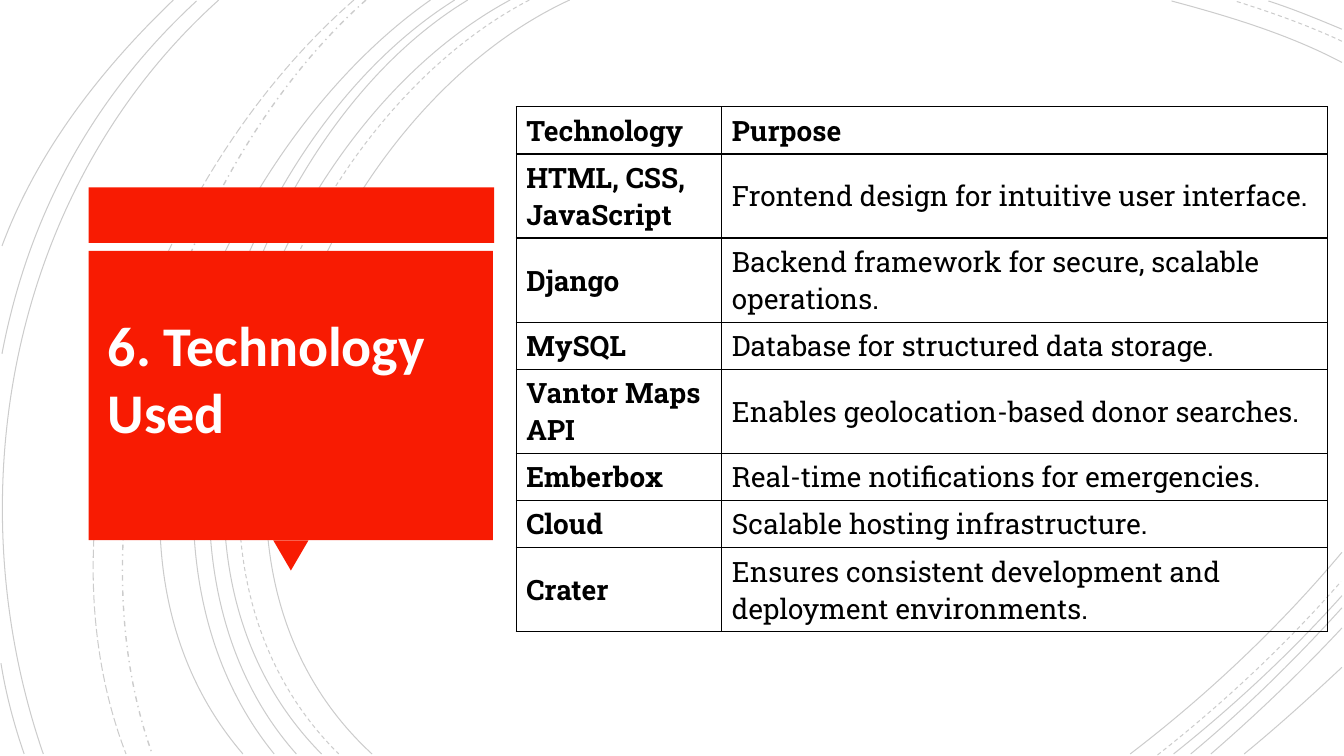
"""Build the slide listing the technology used and its purpose."""
from dataclasses import dataclass
from typing import Any, NamedTuple

from lxml.etree import SubElement
from pptx import Presentation
from pptx.dml.color import RGBColor
from pptx.enum.dml import MSO_LINE
from pptx.enum.shapes import MSO_SHAPE
from pptx.enum.text import MSO_ANCHOR, MSO_AUTO_SIZE
from pptx.oxml.ns import qn
from pptx.slide import Slide
from pptx.table import _Cell
from pptx.util import Inches, Pt

SOLID, DASH = MSO_LINE.SOLID, MSO_LINE.DASH
DOTTED, LONG = MSO_LINE.DASH_DOT, MSO_LINE.LONG_DASH
RECT, WEDGE = MSO_SHAPE.RECTANGLE, MSO_SHAPE.ISOSCELES_TRIANGLE
MIDDLE, GROW = MSO_ANCHOR.MIDDLE, MSO_AUTO_SIZE.SHAPE_TO_FIT_TEXT

Point = tuple[float, float]


@dataclass(frozen=True)
class Theme:
    """Colours, fonts and sizes of the slide."""
    red: RGBColor = RGBColor(0xF8, 0x1B, 0x02)
    white: RGBColor = RGBColor(0xFF, 0xFF, 0xFF)
    black: RGBColor = RGBColor(0, 0, 0)
    head_font: str = "Calibri"
    body_font: str = "Roboto Slab"
    head_size: Pt = Pt(40)
    body_size: Pt = Pt(20)
    edge: Pt = Pt(1)
    arc_alpha: str = "20000"


class Arc(NamedTuple):
    """A cubic curve from start to end, bent by two handles."""
    start: Point
    bend_a: Point
    bend_b: Point
    end: Point
    dash: MSO_LINE = SOLID
    width: float = 0.75


class Block(NamedTuple):
    """A plain red shape."""
    kind: MSO_SHAPE
    left: float
    top: float
    width: float
    height: float
    turn: float = 0


class Entry(NamedTuple):
    """One table row."""
    name: str
    use: str
    height: float = 0.45


THEME = Theme()

ARCS = [
    Arc((5.65, 0), (3.15, 1.15), (1.43, 5.4), (3.69, 7.48)),
    Arc((13.31, 0.62), (12.78, 0.34), (12.18, 0.16), (11.62, 0.01)),
    Arc((11.21, 7.48), (11.97, 6.9), (12.69, 6.22), (13.31, 5.48)),
    Arc((5.25, 0), (2.85, 1.25), (1.23, 5.37), (3.36, 7.48), DASH),
    Arc((13.31, 0.41), (12.97, 0.25), (12.6, 0.12), (12.25, 0.01), DASH),
    Arc((11.48, 7.49), (12.13, 6.98), (12.75, 6.4), (13.3, 5.77), DASH),
    Arc((5.06, 0), (2.7, 1.27), (1.1, 5.37), (3.19, 7.48)),
    Arc((13.31, 0.29), (13.07, 0.19), (12.83, 0.09), (12.58, 0.01)),
    Arc((11.64, 7.48), (12.23, 7.01), (12.8, 6.48), (13.31, 5.91)),
    Arc((4.64, 0), (2.44, 1.33), (1.1, 5.41), (2.94, 7.48)),
    Arc((11.81, 7.48), (12.34, 7.04), (12.84, 6.55), (13.31, 6.03)),
    Arc((4.51, 0), (2.31, 1.38), (0.97, 5.33), (2.72, 7.48)),
    Arc((12.01, 7.48), (12.46, 7.09), (12.9, 6.67), (13.31, 6.23)),
    Arc((4.27, 0), (2.17, 1.47), (0.53, 5.29), (2.41, 7.48)),
    Arc((12.34, 7.48), (12.67, 7.21), (12.99, 6.92), (13.31, 6.62)),
    Arc((3.63, 0), (1.76, 1.66), (0.65, 5.09), (1.51, 7.48), DOTTED, 1),
    Arc((3.51, 0), (1.57, 1.69), (0.29, 4.99), (1.25, 7.48), LONG),
    Arc((2.17, 0), (0.11, 1.85), (-0.46, 4.9), (0.43, 7.48)),
    Arc((1.95, 0.01), (0.92, 0.96), (0.28, 2.14), (0.02, 3.51)),
    Arc((0.01, 6.58), (0.06, 6.89), (0.14, 7.19), (0.24, 7.48)),
    Arc((1.72, 0), (1, 0.69), (0.37, 1.5), (0.02, 2.44)),
]

BLOCKS = [
    Block(RECT, 0.88, 1.86, 4.02, 0.55),
    Block(WEDGE, 2.71, 5.36, 0.35, 0.3, 180),
    Block(RECT, 0.88, 2.49, 4.01, 2.87),
]

ENTRIES = [
    Entry("Technology", "Purpose"),
    Entry("HTML, CSS, JavaScript", "Frontend design for intuitive user interface.", 0.68),
    Entry("Django", "Backend framework for secure, scalable operations.", 0.79),
    Entry("MySQL", "Database for structured data storage."),
    Entry("Vantor Maps API", "Enables geolocation-based donor searches."),
    Entry("Emberbox", "Real-time notifications for emergencies."),
    Entry("Cloud", "Scalable hosting infrastructure."),
    Entry("Crater", "Ensures consistent development and deployment environments.", 0.79),
]
COLUMNS = (2.04, 6.01)

HEAD = {"name": THEME.head_font, "size": THEME.head_size, "bold": True}
BODY = {"name": THEME.body_font, "size": THEME.body_size}


def apply(target: Any, values: dict[str, Any]) -> None:
    """Set each named attribute on the target."""
    for name, value in values.items():
        setattr(target, name, value)


def draw_arc(slide: Slide, arc: Arc) -> None:
    """Draw one faint curve."""
    start, *rest = [tuple(map(Inches, point)) for point in arc[:4]]
    pen = slide.shapes.build_freeform(*start)
    pen.add_line_segments(rest, close=False)
    shape = pen.convert_to_shape()
    steps = shape._element.xpath(".//a:lnTo")
    outline = steps[0].getparent()
    curve = SubElement(outline, qn("a:cubicBezTo"))
    for step in steps:
        curve.append(step[0])
        outline.remove(step)
    shape.shadow.inherit = False
    shape.fill.background()
    shape.line.color.rgb = THEME.black
    apply(shape.line, {"width": Pt(arc.width), "dash_style": arc.dash})
    tint = shape._element.xpath(".//a:ln//a:srgbClr")[0]
    SubElement(tint, qn("a:alpha"), val=THEME.arc_alpha)


def draw_block(slide: Slide, block: Block) -> None:
    """Draw one red shape."""
    shape = slide.shapes.add_shape(block.kind, *map(Inches, block[1:5]))
    shape.rotation = block.turn
    shape.shadow.inherit = False
    shape.fill.solid()
    shape.fill.fore_color.rgb = THEME.red
    shape.line.fill.background()


def fill_cell(cell: _Cell, text: str, bold: bool) -> None:
    """Write and frame one table cell."""
    apply(cell, {"text": text, "vertical_anchor": MIDDLE})
    font = cell.text_frame.paragraphs[0].runs[0].font
    apply(font, BODY | {"bold": bold})
    font.color.rgb = THEME.black
    props = cell._tc.get_or_add_tcPr()
    for side in "LRTB":
        line = SubElement(props, qn(f"a:ln{side}"), w=str(THEME.edge))
        paint = SubElement(line, qn("a:solidFill"))
        SubElement(paint, qn("a:srgbClr"), val=str(THEME.black))
    cell.fill.background()


def draw_table(slide: Slide, entries: list[Entry]) -> None:
    """Draw the table of tools."""
    height = sum(entry.height for entry in entries)
    box = map(Inches, (5.12, 1.06, sum(COLUMNS), height))
    table = slide.shapes.add_table(len(entries), len(COLUMNS), *box).table
    apply(table, {"first_row": False, "horz_banding": False})
    for column, width in zip(table.columns, COLUMNS):
        column.width = Inches(width)
    for index, entry in enumerate(entries):
        table.rows[index].height = Inches(entry.height)
        fill_cell(table.cell(index, 0), entry.name, True)
        fill_cell(table.cell(index, 1), entry.use, index == 0)


def draw_title(slide: Slide, text: str) -> None:
    """Write the slide title."""
    frame = slide.shapes.add_textbox(*map(Inches, (0.97, 3.03, 4.15, 1.45))).text_frame
    apply(frame, {"word_wrap": True, "auto_size": GROW, "text": text})
    font = frame.paragraphs[0].runs[0].font
    apply(font, HEAD)
    font.color.rgb = THEME.white


def main() -> None:
    """Build and save the deck."""
    deck = Presentation()
    apply(deck, {"slide_width": Inches(13.33), "slide_height": Inches(7.5)})
    slide = deck.slides.add_slide(deck.slide_layouts[6])
    for arc in ARCS:
        draw_arc(slide, arc)
    for block in BLOCKS:
        draw_block(slide, block)
    draw_table(slide, ENTRIES)
    draw_title(slide, "6. Technology Used")
    deck.save("out.pptx")


if __name__ == "__main__":
    main()
